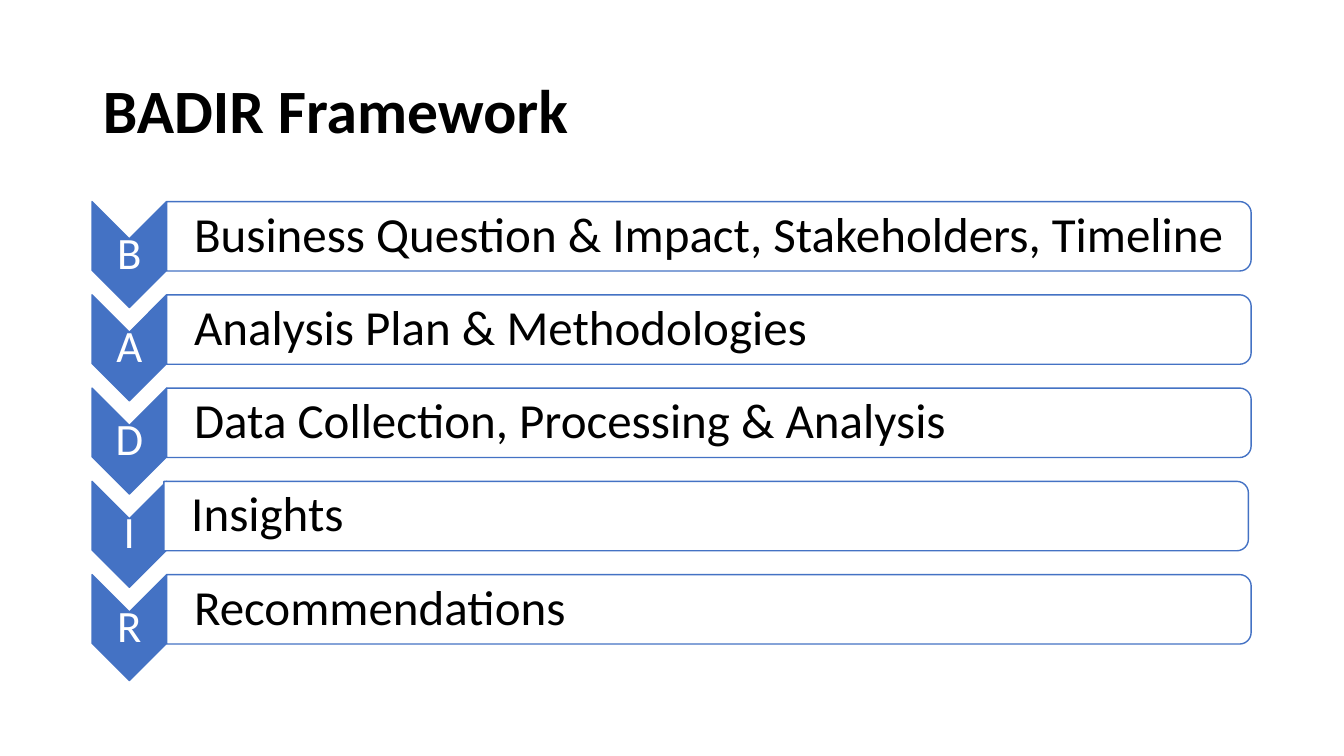
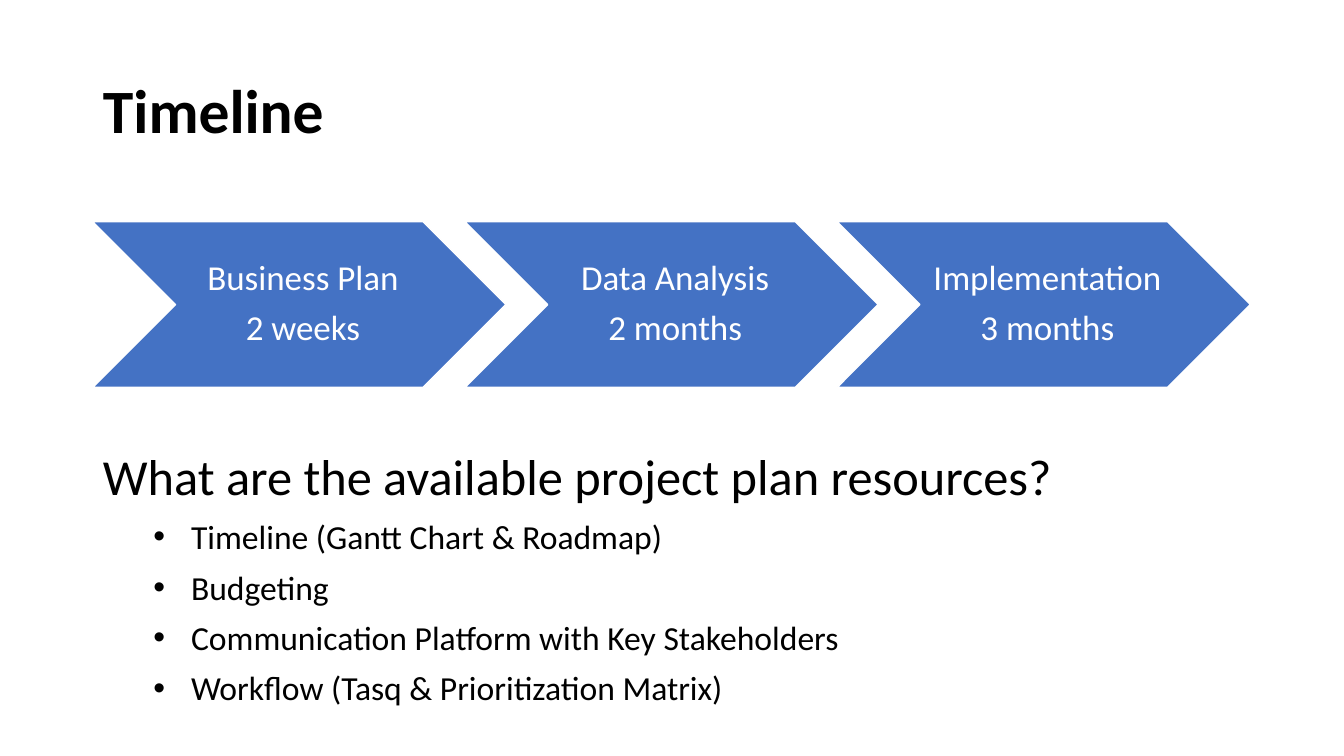
import pptx
import pptx.util
import pptx.dml.color
import pptx.enum.shapes
import pptx.enum.text
from lxml import etree

Cm = pptx.util.Cm
Pt = pptx.util.Pt
SHAPES = pptx.enum.shapes.MSO_SHAPE
ALIGN = pptx.enum.text.PP_ALIGN
ANCHOR = pptx.enum.text.MSO_ANCHOR
NAMESPACE = "http://schemas.openxmlformats.org/drawingml/2006/main"

COLORS = {"blue": "4472C4", "white": "FFFFFF", "black": "000000"}
FONT = "Calibri"
TITLE_BOX = (2.34, 1.02, 29.21, 3.68)
TITLE_ONLY, TITLE_AND_BODY = 5, 1

# Letter, meaning, sideways shift of the bar in cm
FRAMEWORK = [
    ("B", "Business Question & Impact, Stakeholders, Timeline", 0),
    ("A", "Analysis Plan & Methodologies", 0),
    ("D", "Data Collection, Processing & Analysis", 0),
    ("I", "Insights", -0.07),
    ("R", "Recommendations", 0),
]
PHASES = [
    ("Business Plan", "2 weeks"),
    ("Data Analysis", "2 months"),
    ("Implementation", "3 months"),
]
QUESTION = "What are the available project plan resources?"
RESOURCES = [
    "Timeline (Gantt Chart & Roadmap)",
    "Budgeting",
    "Communication Platform with Key Stakeholders",
    "Workflow (Tasq & Prioritization Matrix)",
]


def rgb(name):
    return pptx.dml.color.RGBColor.from_string(COLORS[name])


def place(shape, left, top, width, height):
    shape.left, shape.top = Cm(left), Cm(top)
    shape.width, shape.height = Cm(width), Cm(height)


def write(shape, lines, size, color="black", bold=False, align=ALIGN.LEFT,
          anchor=ANCHOR.MIDDLE, spacing=0.9, gap=0, insets=None, wrap=True):
    """Fill a shape with one paragraph per line; gap is the space between them."""
    frame = shape.text_frame
    frame.auto_size = pptx.enum.text.MSO_AUTO_SIZE.NONE
    frame.word_wrap = wrap
    frame.vertical_anchor = anchor
    if insets:
        (frame.margin_left, frame.margin_top,
         frame.margin_right, frame.margin_bottom) = map(Cm, insets)
    for index, line in enumerate(lines):
        paragraph = frame.paragraphs[0] if index == 0 else frame.add_paragraph()
        paragraph.alignment = align
        paragraph.line_spacing = spacing
        paragraph.space_before = Pt(0)
        paragraph.space_after = Pt(gap if index < len(lines) - 1 else 0)
        run = paragraph.add_run()
        run.text = line
        run.font.name, run.font.size, run.font.bold = FONT, Pt(size), bold
        run.font.color.rgb = rgb(color)
    return frame.paragraphs


def set_bullet(paragraph, margin=0, indent=0, symbol=None):
    properties = paragraph._p.get_or_add_pPr()
    properties.set("marL", str(Cm(margin)))
    properties.set("indent", str(Cm(indent)))
    if symbol:
        etree.SubElement(properties, f"{{{NAMESPACE}}}buFont", typeface="Arial")
        etree.SubElement(properties, f"{{{NAMESPACE}}}buChar", char=symbol)
    else:
        etree.SubElement(properties, f"{{{NAMESPACE}}}buNone")


def add_shape(slide, kind, left, top, width, height, fill, line, turned=False):
    """Add a preset shape covering the given box; turned rotates it by 90 degrees."""
    if turned:
        left, top = left + (width - height) / 2, top + (height - width) / 2
        width, height = height, width
    shape = slide.shapes.add_shape(kind, Cm(left), Cm(top), Cm(width), Cm(height))
    shape.rotation = 90 if turned else 0
    shape.shadow.inherit = False
    shape.fill.solid()
    shape.fill.fore_color.rgb = rgb(fill)
    shape.line.color.rgb = rgb(line)
    shape.line.width = Pt(1)
    return shape


def add_text(slide, left, top, width, height, text, size, **style):
    box = slide.shapes.add_textbox(Cm(left), Cm(top), Cm(width), Cm(height))
    write(box, [text], size, wrap=False, **style)


def add_slide(presentation, title, layout):
    slide = presentation.slides.add_slide(presentation.slide_layouts[layout])
    place(slide.shapes.title, *TITLE_BOX)
    write(slide.shapes.title, [title], 44, bold=True)
    return slide


def build_framework(presentation):
    slide = add_slide(presentation, "BADIR Framework", TITLE_ONLY)
    first_top, pitch = 5.08, 2.35
    chevron_left, chevron_width, chevron_height = 2.32, 1.88, 2.67
    bar_width, bar_height = 27.33, 1.75
    notch = chevron_width / 2
    for row, (letter, meaning, shift) in enumerate(FRAMEWORK):
        top = first_top + row * pitch
        add_shape(slide, SHAPES.CHEVRON, chevron_left, top, chevron_width,
                  chevron_height, "blue", "blue", turned=True)
        add_text(slide, chevron_left, top + notch, chevron_width,
                 chevron_height - 2 * notch, letter, 32, color="white",
                 align=ALIGN.CENTER, insets=(0.05,) * 4)
        bar_left = chevron_left + chevron_width + shift
        add_shape(slide, SHAPES.ROUND_2_SAME_RECTANGLE, bar_left, top, bar_width,
                  bar_height, "white", "blue", turned=True)
        add_text(slide, bar_left, top, bar_width, bar_height, meaning, 35,
                 insets=(0.69, 0.05, 0.05, 0.05))


def build_timeline(presentation):
    slide = add_slide(presentation, "Timeline", TITLE_AND_BODY)
    left, top, width, height, pitch = 2.34, 5.59, 10.41, 4.17, 9.38
    for column, phase in enumerate(PHASES):
        chevron = add_shape(slide, SHAPES.CHEVRON, left + column * pitch, top,
                            width, height, "blue", "white")
        write(chevron, phase, 25, color="white", align=ALIGN.CENTER, gap=8.75,
              insets=(0.28, 0.1, 0.1, 0.1), wrap=False)

    body = slide.placeholders[1]
    place(body, 2.34, 10.72, 29.21, 7.21)
    question, *resources = write(body, [QUESTION, *RESOURCES], 24,
                                 anchor=ANCHOR.TOP, spacing=1.25)
    question.runs[0].font.size = Pt(36)
    set_bullet(question)
    for paragraph in resources:
        paragraph.level = 1
        set_bullet(paragraph, margin=2.22, indent=-0.95, symbol="•")


def main():
    presentation = pptx.Presentation()
    presentation.slide_width, presentation.slide_height = Cm(33.87), Cm(19.05)
    build_framework(presentation)
    build_timeline(presentation)
    presentation.save("out.pptx")


if __name__ == "__main__":
    main()
